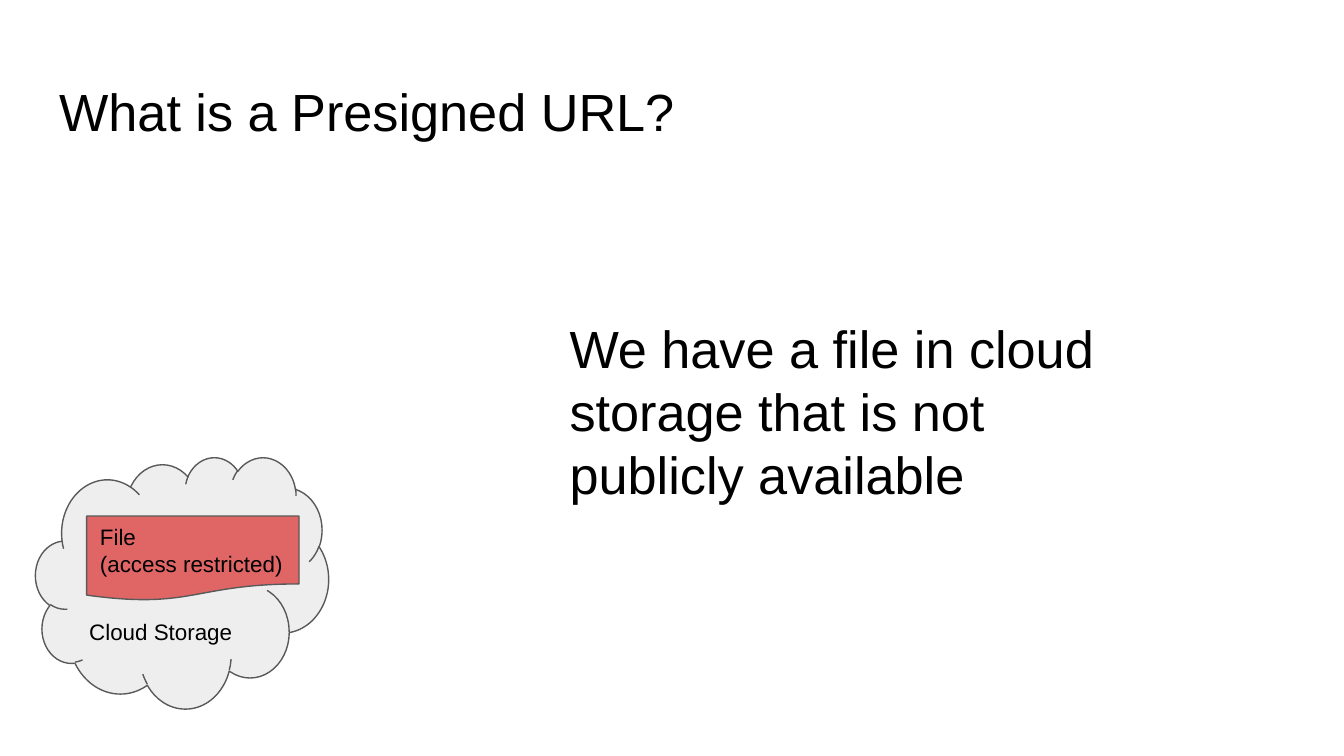
from pptx import Presentation
from pptx import util as u
from pptx.dml.color import RGBColor
from pptx.enum import shapes, text

PX = 4572  # 200 px to the inch
SLIDE = (2000, 1125)
INK, OUTLINE = "000000", "595959"

TITLE = ("What is a Presigned URL?", (68, 98, 1864, 126))
MESSAGE = ("We have a file in cloud storage that is not publicly available",
           (828, 451, 892, 104))
# wording, place, preset, fill, anchor
DIAGRAM = [
    ("Cloud Storage", (53, 680, 436, 374),
     shapes.MSO_SHAPE.CLOUD, "EEEEEE", text.MSO_ANCHOR.BOTTOM),
    ("File\n(access restricted)", (129, 768, 316, 126),
     shapes.MSO_SHAPE.FLOWCHART_DOCUMENT, "E06666", text.MSO_ANCHOR.MIDDLE),
]


def emu(lengths):
    return [u.Emu(length * PX) for length in lengths]


def color(hex_code):
    return RGBColor.from_string(hex_code)


def write(shape, wording, size, anchor=text.MSO_ANCHOR.TOP):
    frame = shape.text_frame
    frame.text = wording
    frame.word_wrap = True
    frame.auto_size = text.MSO_AUTO_SIZE.NONE
    frame.vertical_anchor = anchor
    frame.margin_left = frame.margin_right = u.Inches(0.1)
    frame.margin_top = frame.margin_bottom = u.Inches(0.1)
    for paragraph in frame.paragraphs:
        paragraph.alignment = text.PP_ALIGN.LEFT
        paragraph.line_spacing = 1.0
        paragraph.font.name = "Arial"
        paragraph.font.size = u.Pt(size)
        paragraph.font.color.rgb = color(INK)


deck = Presentation()
deck.slide_width, deck.slide_height = emu(SLIDE)
slide = deck.slides.add_slide(deck.slide_layouts[5])

wording, place = TITLE
title = slide.shapes.title
title.left, title.top, title.width, title.height = emu(place)
write(title, wording, 28)

for wording, place, preset, fill, anchor in DIAGRAM:
    part = slide.shapes.add_shape(preset, *emu(place))
    part.shadow.inherit = False
    part.fill.solid()
    part.fill.fore_color.rgb = color(fill)
    part.line.color.rgb = color(OUTLINE)
    part.line.width = u.Pt(0.75)
    write(part, wording, 12, anchor)

wording, place = MESSAGE
write(slide.shapes.add_textbox(*emu(place)), wording, 28)

deck.save("out.pptx")
